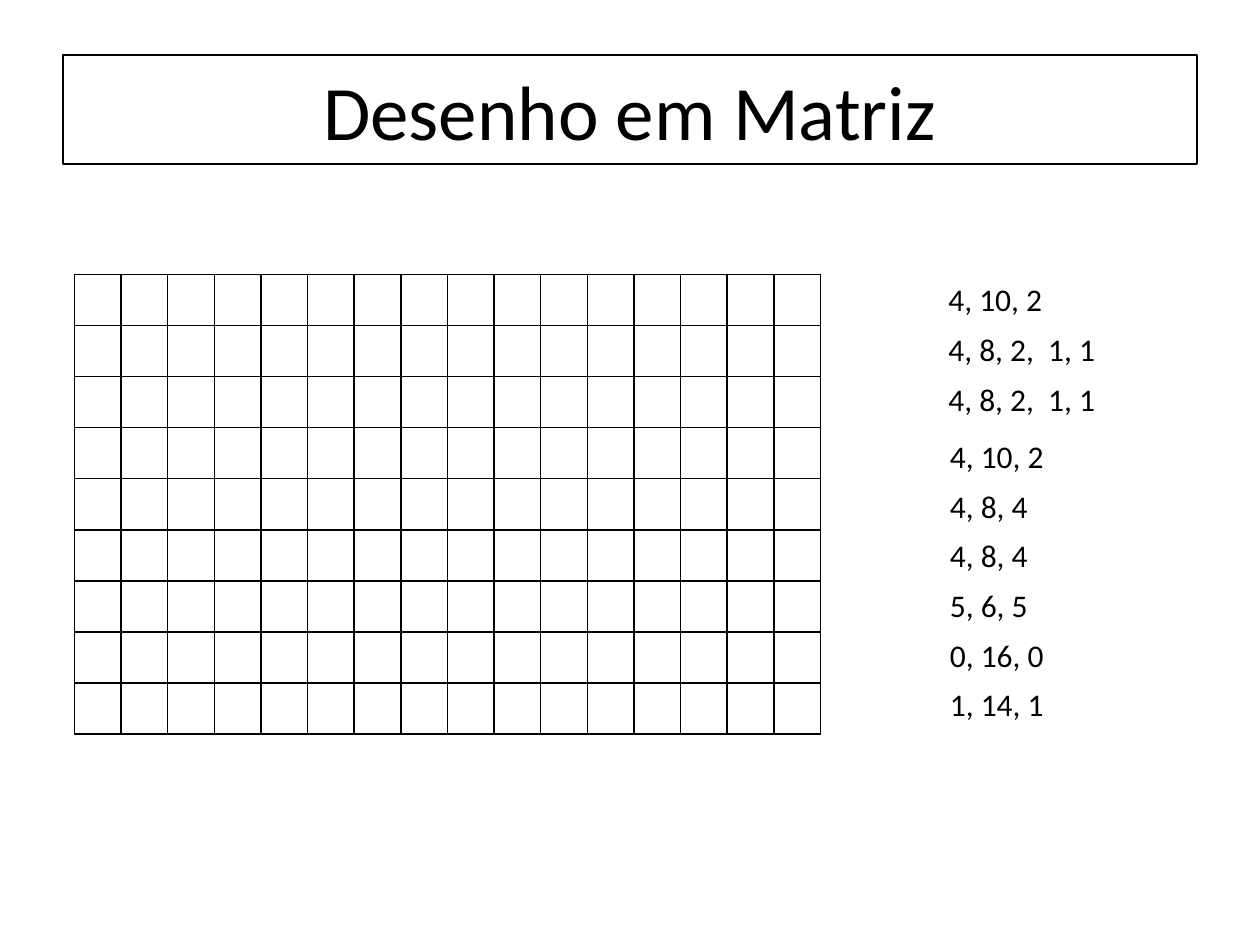
from lxml import etree
from pptx import Presentation
from pptx.dml.color import RGBColor
from pptx.enum.shapes import MSO_SHAPE
from pptx.enum.text import MSO_ANCHOR, MSO_AUTO_SIZE, PP_ALIGN
from pptx.oxml.ns import qn
from pptx.util import Cm, Pt

RECT = MSO_SHAPE.RECTANGLE
MIDDLE = MSO_ANCHOR.MIDDLE
CENTER = PP_ALIGN.CENTER
GROW = MSO_AUTO_SIZE.SHAPE_TO_FIT_TEXT

COLORS = {"ink": "000000", "paper": "FFFFFF"}
FONT = "Calibri"
TITLE = "Desenho em Matriz"
ROWS, COLS = 9, 16
CELL_W, CELL_H = 0.94, 1.03
GRID_LEFT, GRID_TOP = 1.5, 5.53
CODE_STEP, CODE_H = 1, 1.02
CODE_GROUPS = [
    (18.87, 5.53, [("4, 10, 2", 2.44), ("4, 8, 2,  1, 1", 3.5), ("4, 8, 2,  1, 1", 3.5)]),
    (18.9, 8.69, [("4, 10, 2", 2.44), ("4, 8, 4", 2.11), ("4, 8, 4", 2.11),
                  ("5, 6, 5", 2.11), ("0, 16, 0", 2.44), ("1, 14, 1", 2.44)]),
]


def rgb(name):
    return RGBColor.from_string(COLORS[name])


def write(tf, text, size):
    p = tf.paragraphs[0]
    r = p.add_run()
    r.text = text
    r.font.name = FONT
    r.font.size = Pt(size)
    r.font.color.rgb = rgb("ink")
    return p


def add_title(s):
    sp = s.shapes.add_shape(RECT, Cm(1.27), Cm(1.11), Cm(22.86), Cm(2.2))
    sp.shadow.inherit = False
    sp.fill.background()
    sp.line.color.rgb = rgb("ink")
    sp.line.width = Pt(0.75)
    sp.text_frame.vertical_anchor = MIDDLE
    write(sp.text_frame, TITLE, 44).alignment = CENTER


def style_cell(cell):
    cell.margin_top = cell.margin_bottom = 0
    tc_pr = cell._tc.get_or_add_tcPr()
    for side in ("a:lnL", "a:lnR", "a:lnT", "a:lnB"):
        ln = etree.SubElement(tc_pr, qn(side), w=str(Pt(1)))
        fill = etree.SubElement(ln, qn("a:solidFill"))
        etree.SubElement(fill, qn("a:srgbClr"), val=COLORS["ink"])
    cell.fill.solid()
    cell.fill.fore_color.rgb = rgb("paper")


def add_grid(s):
    table = s.shapes.add_table(ROWS, COLS, Cm(GRID_LEFT), Cm(GRID_TOP),
                               Cm(COLS * CELL_W), Cm(ROWS * CELL_H)).table
    table.first_row = table.horz_banding = False
    for col in table.columns:
        col.width = Cm(CELL_W)
    for row in table.rows:
        row.height = Cm(CELL_H)
        for cell in row.cells:
            style_cell(cell)


def add_codes(s):
    for left, top, codes in CODE_GROUPS:
        for i, (text, width) in enumerate(codes):
            sp = s.shapes.add_textbox(Cm(left), Cm(top + i * CODE_STEP), Cm(width), Cm(CODE_H))
            tf = sp.text_frame
            tf.word_wrap = False
            tf.auto_size = GROW
            write(tf, text, 18)


def main():
    prs = Presentation()
    prs.slide_width, prs.slide_height = Cm(25.4), Cm(19.05)
    s = prs.slides.add_slide(prs.slide_layouts[6])
    add_title(s)
    add_grid(s)
    add_codes(s)
    prs.save("out.pptx")


if __name__ == "__main__":
    main()
